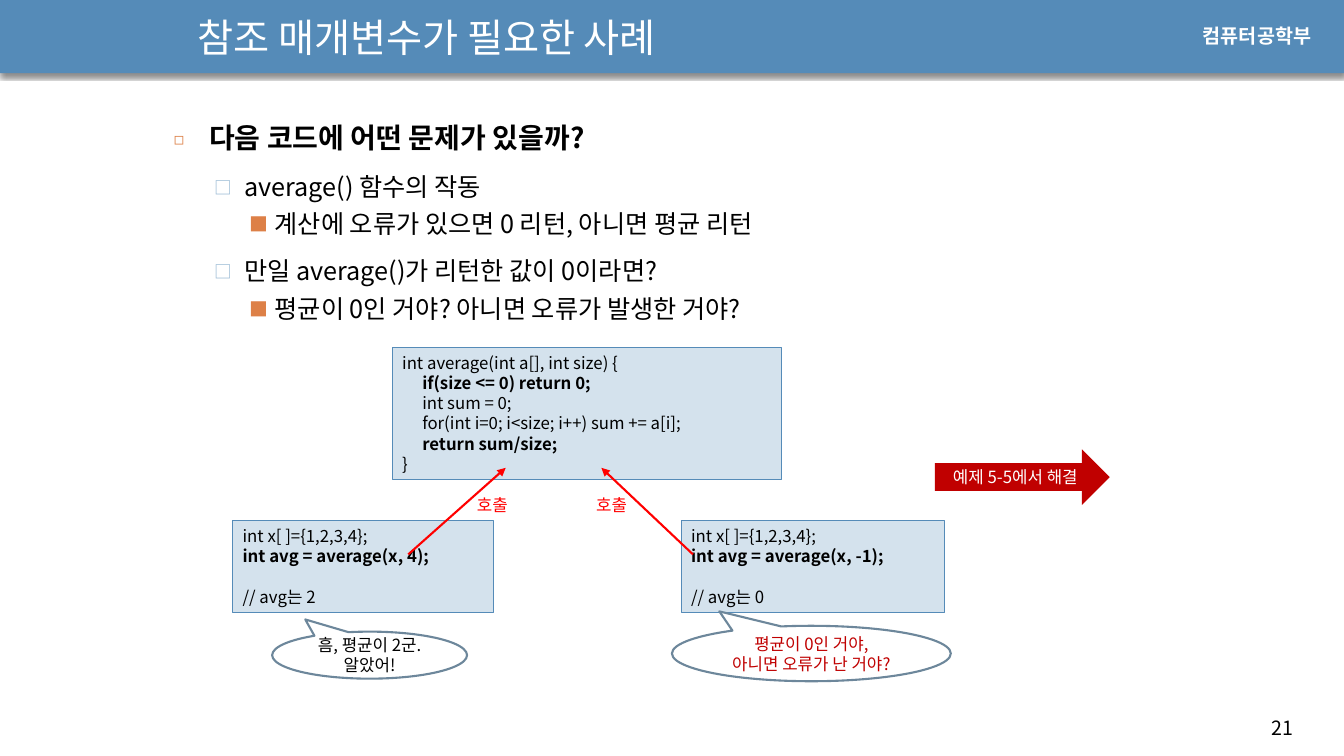
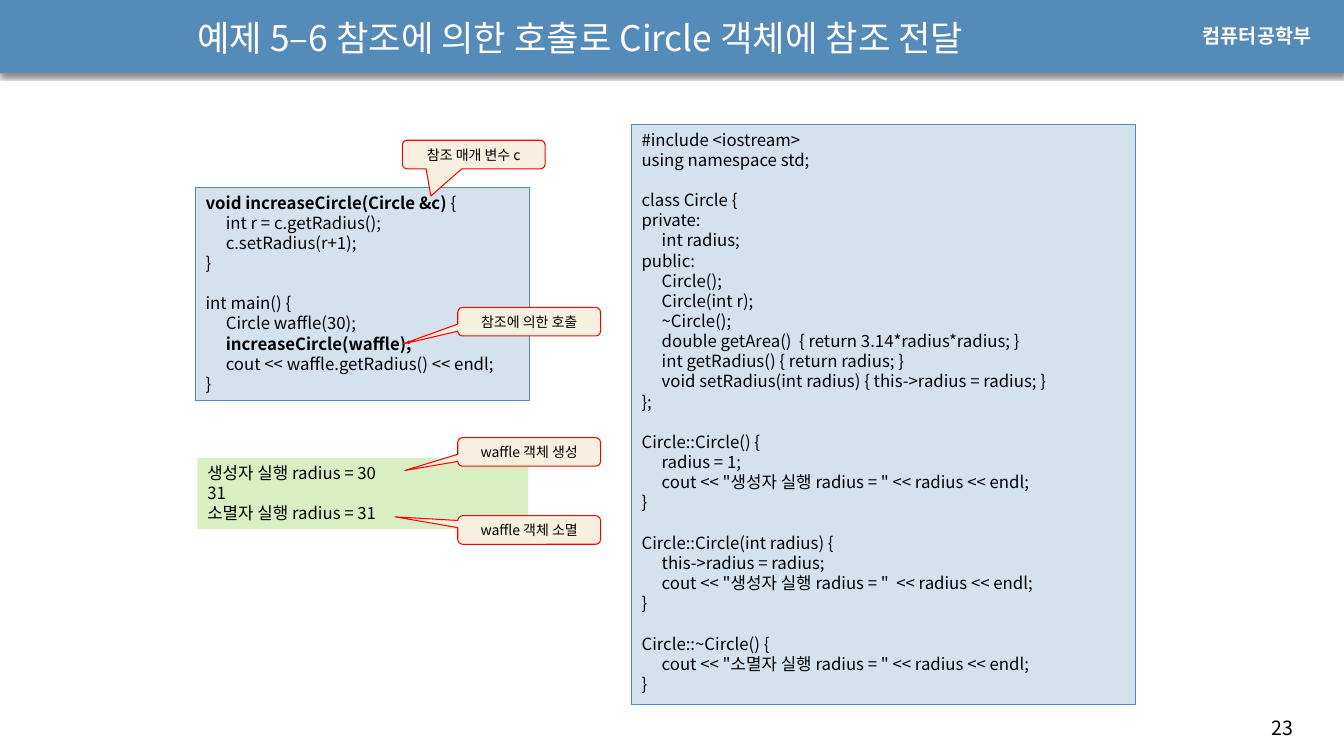
from dataclasses import dataclass

from lxml import etree
from pptx import Presentation, util as u
from pptx.dml.color import RGBColor
from pptx.enum import shapes as kinds, text as t
from pptx.oxml import ns


@dataclass(frozen=True)
class Theme:
    font: str = "Noto Sans CJK KR"
    label_font: str = "Arial"
    black: str = "000000"
    white: str = "FFFFFF"
    blue: str = "558BB8"
    pale_blue: str = "D4E2ED"
    light_blue: str = "94B6D2"
    slate: str = "6D879B"
    orange: str = "DD8047"
    green: str = "DAEEC4"
    cream: str = "F7F0DE"
    red: str = "FF0000"
    dark_red: str = "C00000"
    title: float = 28
    small_title: float = 25.2
    heading: float = 20
    body: float = 18
    label: float = 14
    code: float = 12
    note: float = 10
    leading: float = 1.2


THEME = Theme()
CELL = u.Inches(1) // 12  # the slide is a grid of 160 columns by 90 rows
COLUMNS, ROWS = 160, 90
CODE_TAB = u.Inches(0.2)

# level: size, bold, left margin, hanging indent, space before, bullet, colour, percent
LEVELS = [
    (THEME.heading, True, 0.35, 0.35, 7, "◻", THEME.orange, 60),
    (THEME.body, False, 0.7, 0.3, 12, "□", THEME.light_blue, 70),
    (THEME.body, False, 1, 0.25, 5, "■", THEME.orange, 75),
]

AVERAGE_CODE = """int average(int a[], int size) {
\t**if(size <= 0) return 0;**
\tint sum = 0;
\tfor(int i=0; i<size; i++) sum += a[i];
\t**return sum/size;**
}"""

CALL_CODE = """int x[ ]={{1,2,3,4}};
**int avg = average(x, {argument});**

// avg는 {result}"""

MAIN_CODE = """**void increaseCircle(Circle &c) **{
\tint r = c.getRadius();
\tc.setRadius(r+1);
}

int main() {
\tCircle waffle(30);
\t**increaseCircle(waffle);**
\tcout << waffle.getRadius() << endl;
}"""

CIRCLE_CODE = """#include <iostream>
using namespace std;

class Circle {
private:
\tint radius;
public:
\tCircle();
\tCircle(int r);
\t~Circle();
\tdouble getArea()  { return 3.14*radius*radius; }
\tint getRadius() { return radius; }
\tvoid setRadius(int radius) { this->radius = radius; }
};

Circle::Circle() {
\tradius = 1;
\tcout << "생성자 실행 radius = " << radius << endl;
}

Circle::Circle(int radius) {
\tthis->radius = radius;
\tcout << "생성자 실행 radius = "  << radius << endl;
}

Circle::~Circle() {
\tcout << "소멸자 실행 radius = " << radius << endl;
}"""

OUTPUT = """생성자 실행 radius = 30
31
소멸자 실행 radius = 31"""


# Helpers
def cells(*values):
    return [round(value * CELL) for value in values]


def add_xml(parent, tag, **attributes):
    element = etree.SubElement(parent, ns.qn(tag))
    for name, value in attributes.items():
        element.set(name, str(value))
    return element


def style_paragraph(paragraph, size, color, bold=False, font=THEME.font):
    paragraph.line_spacing = u.Pt(size * THEME.leading)
    for run in paragraph.runs:
        run.font.size = u.Pt(size)
        run.font.color.rgb = RGBColor.from_string(color)
        run.font.name = font
        run.font.bold = bold or bool(run.font.bold)
        add_xml(run.font._element, "a:ea", typeface=font)


def write(shape, content, size=THEME.code, color=THEME.black, bold=False,
          font=THEME.font, align=t.PP_ALIGN.LEFT, anchor=t.MSO_ANCHOR.TOP, wrap=True):
    """Fill a shape with text; passages between ** marks are bold."""
    frame = shape.text_frame
    frame.word_wrap = wrap
    frame.auto_size = t.MSO_AUTO_SIZE.NONE
    frame.vertical_anchor = anchor
    frame.text = content
    for paragraph in frame.paragraphs:
        pieces = paragraph.text.split("**")
        if len(pieces) > 1:
            paragraph.clear()
            for index, piece in enumerate(pieces):
                if piece:
                    run = paragraph.add_run()
                    run.text = piece
                    run.font.bold = index % 2 == 1
        paragraph.alignment = align
        style_paragraph(paragraph, size, color, bold, font)


def add_box(slide, kind, area, fill=None, line=None, weight=0.75, adjustments=()):
    shape = slide.shapes.add_shape(kind, *cells(*area))
    shape.shadow.inherit = False
    for index, value in enumerate(adjustments):
        shape.adjustments[index] = value
    if fill:
        shape.fill.solid()
        shape.fill.fore_color.rgb = RGBColor.from_string(fill)
    else:
        shape.fill.background()
    if line:
        shape.line.color.rgb = RGBColor.from_string(line)
        shape.line.width = u.Pt(weight)
    else:
        shape.line.fill.background()
    return shape


def add_label(slide, area, content, **style):
    label = slide.shapes.add_textbox(*cells(*area))
    write(label, content, **style)
    return label


# Kinds of element
def add_code(slide, area, content, fill=THEME.pale_blue, line=THEME.blue):
    box = add_box(slide, kinds.MSO_SHAPE.RECTANGLE, area, fill, line)
    write(box, content)
    for paragraph in box.text_frame.paragraphs:
        if paragraph.text.startswith("\t"):
            tabs = add_xml(paragraph._p.get_or_add_pPr(), "a:tabLst")
            add_xml(tabs, "a:tab", pos=CODE_TAB, algn="l")


def add_centred(slide, kind, area, content, size=THEME.code, color=THEME.black, **look):
    shape = add_box(slide, kind, area, **look)
    write(shape, content, size, color, align=t.PP_ALIGN.CENTER, anchor=t.MSO_ANCHOR.MIDDLE)


def add_bubble(slide, area, content, color):
    add_centred(slide, kinds.MSO_SHAPE.OVAL_CALLOUT, area, content, color=color,
                line=THEME.slate, weight=1.5, adjustments=(-0.33, -0.76))


def add_note(slide, column, row, content, pointer):
    add_centred(slide, kinds.MSO_SHAPE.ROUNDED_RECTANGULAR_CALLOUT, (column, row, 17, 3.4),
                content, THEME.note, fill=THEME.cream, line=THEME.red, adjustments=pointer)


def add_call_arrow(slide, start, end, label_column):
    arrow = slide.shapes.add_connector(kinds.MSO_CONNECTOR.STRAIGHT, *cells(*start, *end))
    arrow.line.color.rgb = RGBColor.from_string(THEME.red)
    arrow.line.width = u.Pt(1.5)
    add_xml(arrow.line._get_or_add_ln(), "a:tailEnd", type="triangle")
    add_xml(arrow._element.spPr, "a:effectLst")
    add_label(slide, (label_column, 58.3, 6.5, 3.6), "호출", color=THEME.red, wrap=False)


def fill_body(slide, items):
    body = slide.placeholders[1]
    body.left, body.top, body.width, body.height = cells(19.5, 13.8, 133.2, 66.1)
    write(body, "\n".join(content for _, content in items))
    for index, (level, _) in enumerate(items):
        size, bold, margin, hanging, before, bullet, color, percent = LEVELS[level]
        paragraph = body.text_frame.paragraphs[index]
        paragraph.level = level
        paragraph.space_before = u.Pt(before if index else 0)
        properties = paragraph._p.get_or_add_pPr()
        properties.set("marL", str(u.Inches(margin)))
        properties.set("indent", str(-u.Inches(hanging)))
        add_xml(add_xml(properties, "a:buClr"), "a:srgbClr", val=color)
        add_xml(properties, "a:buSzPct", val=percent * 1000)
        add_xml(properties, "a:buFont", typeface=THEME.font)
        add_xml(properties, "a:buChar", char=bullet)
        for run in paragraph.runs:
            run.font.size = u.Pt(size)
            run.font.bold = bold
        paragraph.line_spacing = u.Pt(size * THEME.leading)


# Shared parts
def build_master(presentation, slide):
    """Draw the band and the department name, then hand them to the master."""
    band = add_box(slide, kinds.MSO_SHAPE.RECTANGLE, (0, -0.1, COLUMNS, 8.8), THEME.blue)
    effects = band._element.spPr.find(ns.qn("a:effectLst"))
    shadow = add_xml(effects, "a:outerShdw", blurRad=u.Pt(3), dist=u.Pt(2.4),
                     dir=90 * 60000, algn="t", rotWithShape=0)
    add_xml(add_xml(shadow, "a:srgbClr", val=THEME.black), "a:alpha", val=45000)
    department = add_label(slide, (142, 2.3, 16.5, 4.1), "컴퓨터공학부", size=THEME.label,
                           color=THEME.white, bold=True, font=THEME.label_font)
    for number, shape in enumerate((band, department), 100):
        shape.element.nvSpPr.cNvPr.id = number
        presentation.slide_master.shapes.element.append(shape.element)


def add_slide(presentation, layout, title, title_width, title_size, number):
    slide = presentation.slides.add_slide(presentation.slide_layouts[layout])
    heading = slide.shapes.title
    heading.left, heading.top, heading.width, heading.height = cells(22.3, 0.6, title_width, 7.6)
    write(heading, title, title_size, THEME.white, anchor=t.MSO_ANCHOR.MIDDLE)
    add_label(slide, (150.2, 84.6, 8.5, 4.1), str(number), size=THEME.label)
    return slide


# Slides
def build_average(presentation):
    slide = add_slide(presentation, 1, "참조 매개변수가 필요한 사례", 88.8, THEME.title, 21)
    build_master(presentation, slide)
    fill_body(slide, [
        (0, "다음 코드에 어떤 문제가 있을까?"),
        (1, "average() 함수의 작동"),
        (2, "계산에 오류가 있으면 0 리턴, 아니면 평균 리턴"),
        (1, "만일 average()가 리턴한 값이 0이라면?"),
        (2, "평균이 0인 거야? 아니면 오류가 발생한 거야?"),
    ])
    add_code(slide, (46.7, 41.4, 46.3, 15.7), AVERAGE_CODE)
    for column, width, argument, result in ((81.1, 31.4, -1, 0), (27.7, 31.1, 4, 2)):
        add_code(slide, (column, 62, width, 10.9),
                 CALL_CODE.format(argument=argument, result=result))
    add_call_arrow(slide, (48.6, 66), (60.2, 55.7), 55.6)
    add_call_arrow(slide, (82.5, 66), (71.6, 55.7), 69.8)
    add_bubble(slide, (32.4, 75.2, 23.2, 5.6), "흠, 평균이 2군. 알았어!", THEME.black)
    add_bubble(slide, (80, 74.5, 33.2, 6.6), "평균이 0인 거야,\n아니면 오류가 난 거야?",
               THEME.dark_red)
    add_centred(slide, kinds.MSO_SHAPE.RIGHT_ARROW, (111.3, 53.5, 20.8, 6.6),
                "예제 5-5에서 해결", color=THEME.white, fill=THEME.dark_red)


def build_circle(presentation):
    slide = add_slide(presentation, 5, "예제 5–6 참조에 의한 호출로 Circle 객체에 참조 전달",
                      105.8, THEME.small_title, 23)
    add_code(slide, (75.2, 14.8, 60, 69.1), CIRCLE_CODE)
    add_code(slide, (23.3, 22.3, 39.7, 25.4), MAIN_CODE)
    add_code(slide, (23.5, 54.5, 39.4, 8.5), OUTPUT, THEME.green, None)
    add_note(slide, 54.5, 52.1, "waffle 객체 생성", (-0.87, 0.65))
    add_note(slide, 54.5, 61.4, "waffle 객체 소멸", (-0.94, -0.46))
    add_note(slide, 54.5, 36.6, "참조에 의한 호출", (-0.89, 0.79))
    add_note(slide, 47.9, 16.7, "참조 매개 변수 c", (-0.3, 1.45))


def main():
    presentation = Presentation()
    presentation.slide_width, presentation.slide_height = cells(COLUMNS, ROWS)
    build_average(presentation)
    build_circle(presentation)
    presentation.save("out.pptx")


if __name__ == "__main__":
    main()
